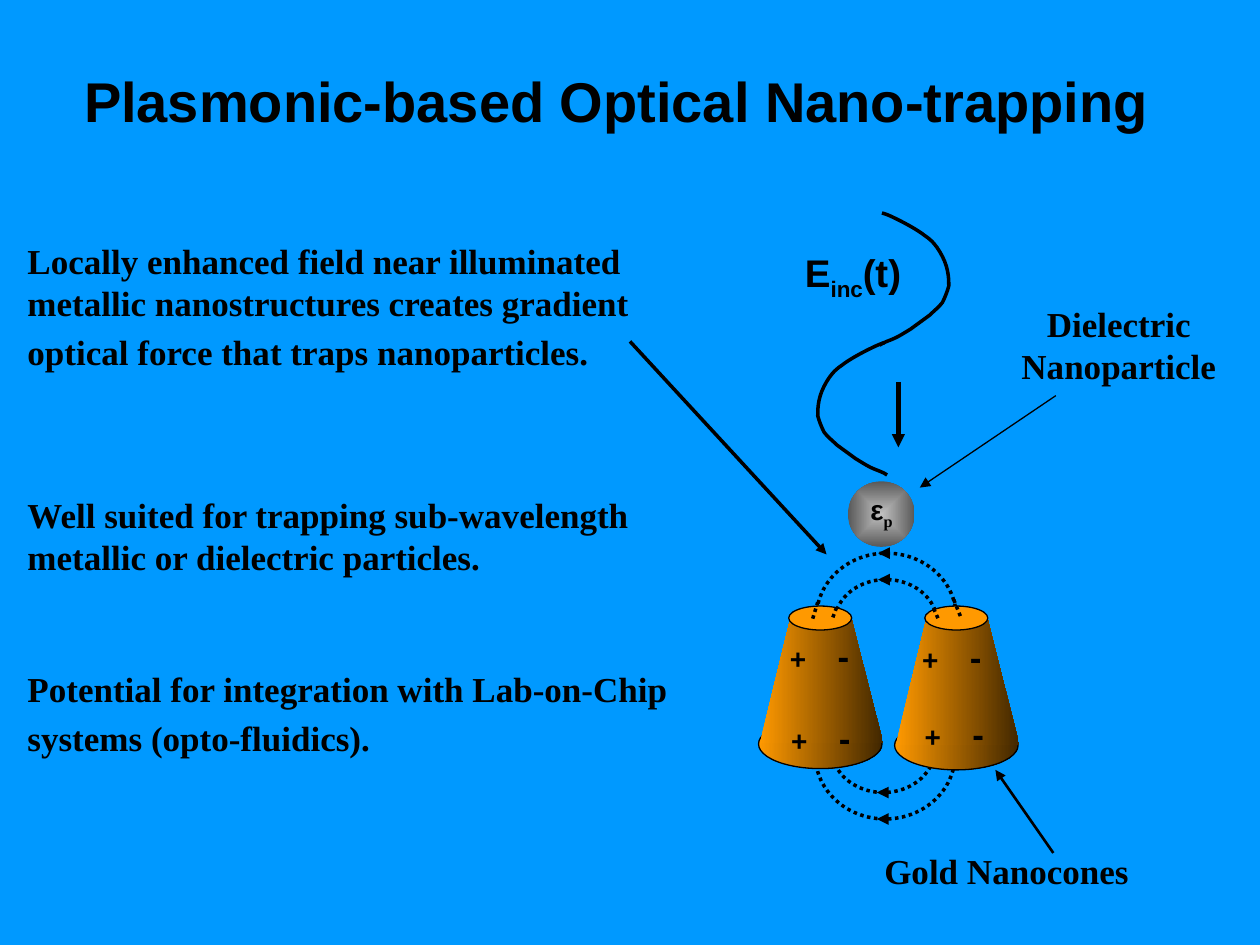
from lxml.etree import SubElement
from pptx import Presentation
from pptx.dml.color import RGBColor
from pptx.enum.dml import MSO_LINE as Dash
from pptx.enum.shapes import MSO_CONNECTOR as Connector, MSO_SHAPE as Shape
from pptx.enum.text import MSO_ANCHOR as Anchor, PP_ALIGN as Align
from pptx.oxml.ns import qn
from pptx.util import Pt

PX = 9144  # 100 px to the inch
SANS, SERIF = "Arial", "Times New Roman"
BLACK, BLUE, ORANGE, BROWN = "000000", "0099FF", "FF9900", "412700"
rgb = RGBColor.from_string

presentation = Presentation()
presentation.slide_width, presentation.slide_height = 1000 * PX, 750 * PX
slide = presentation.slides.add_slide(presentation.slide_layouts[6])
slide.background.fill.solid()
slide.background.fill.fore_color.rgb = rgb(BLUE)
shapes = slide.shapes


def add_text(box, *paragraphs, size=20, font=SERIF, align=Align.LEFT,
             anchor=Anchor.TOP, space_before=0, tab=None):
    """Each paragraph is a list of (text, size, font, bold, subscript) runs, cut short at will."""
    frame = shapes.add_textbox(*(n * PX for n in box)).text_frame
    frame.word_wrap = True
    frame.vertical_anchor = anchor
    for index, runs in enumerate(paragraphs):
        paragraph = frame.add_paragraph() if index else frame.paragraphs[0]
        paragraph.alignment = align
        if index:
            paragraph.space_before = Pt(space_before)
        if tab:
            tabs = SubElement(paragraph._p.get_or_add_pPr(), qn("a:tabLst"))
            SubElement(tabs, qn("a:tab"), pos=str(tab * PX), algn="l")
        for text, *options in runs:
            defaults = [size, font, True, False]
            run_size, run_font, bold, subscript = options + defaults[len(options):]
            for number, line in enumerate(text.split("\n")):
                if number:
                    paragraph.add_line_break()
                run = paragraph.add_run()
                run.text = line
                run.font.size, run.font.name, run.font.bold = Pt(run_size), run_font, bold
                run.font.color.rgb = rgb(BLACK)
                if subscript:
                    run._r.get_or_add_rPr().set("baseline", "-25000")


def style(shape, fill=None, width=0, dash=None):
    """A pair of colours as fill gives a gradient; width 0 means no outline."""
    shape.shadow.inherit = False
    if fill is None:
        shape.fill.background()
    elif isinstance(fill, tuple):
        shape.fill.gradient()
        shape.fill.gradient_angle = 0
        for stop, position, color in zip(shape.fill.gradient_stops, (0, 1), fill):
            stop.position = position
            stop.color.rgb = rgb(color)
    else:
        shape.fill.solid()
        shape.fill.fore_color.rgb = rgb(fill)
    if width:
        shape.line.color.rgb = rgb(BLACK)
        shape.line.width = Pt(width)
        if dash:
            shape.line.dash_style = dash
    else:
        shape.line.fill.background()


# Title and statements
add_text((27, 40, 925, 79), [("Plasmonic-based Optical Nano-trapping",)],
         size=32, font=SANS, align=Align.CENTER, anchor=Anchor.MIDDLE)
tall_space = (" ", 24, SERIF, False)
add_text((12, 185, 534, 117),
         [("Locally enhanced field near illuminated metallic nanostructures creates "
           "gradient optical force that traps nanoparticles.",), tall_space])
add_text((12, 387, 534, 222),
         [("Well suited for trapping sub-wavelength metallic or dielectric particles.",)],
         [("Potential for integration with Lab-on-Chip systems (opto-fluidics).",), tall_space],
         space_before=51)

# Incident wave: the second half is the first one mirrored and moved down
half_wave = [(700, 169), (704, 170), (708, 172), (714, 175), (720, 178), (729, 183),
             (734, 187), (740, 191), (743, 195), (746, 200), (749, 205), (751, 210),
             (752, 215), (753, 220), (753, 223), (753, 227), (752, 231), (750, 236),
             (748, 240), (745, 244), (742, 246), (738, 250), (734, 253), (727, 258),
             (723, 261), (718, 264), (715, 266), (711, 268), (707, 270), (700, 272),
             (698, 274)]
for points in (half_wave, [(1402 - x, y + 103) for x, y in half_wave]):
    builder = shapes.build_freeform(*points[0], scale=PX)
    builder.add_line_segments(points[1:], close=False)
    wave = builder.convert_to_shape()
    style(wave, width=2)
    segments = list(wave._element.iter(qn("a:lnTo")))
    for curve, second, third in zip(segments[::3], segments[1::3], segments[2::3]):
        curve.tag = qn("a:cubicBezTo")
        curve.extend([second[0], third[0]])
        curve.getparent().remove(second)
        curve.getparent().remove(third)
add_text((629, 193, 101, 52),
         [("E",), ("inc", 22, SANS, True, True), ("(t)",)], size=22, font=SANS)

# Dielectric nanoparticle
particle = shapes.add_shape(Shape.OVAL, 673 * PX, 382 * PX, 53 * PX, 52 * PX)
style(particle, ("C0C0C0", "595959"))
linear = next(particle._element.iter(qn("a:lin")))
radial = SubElement(linear.getparent(), qn("a:path"), path="rect")
SubElement(radial, qn("a:fillToRect"), l="50000", t="50000", r="50000", b="50000")
linear.getparent().remove(linear)
add_text((681, 386, 53, 41), [("ε",), ("p", 16, SERIF, True, True)], size=16, font=SANS)
add_text((791, 235, 194, 77), [("Dielectric\nNanoparticle",)], align=Align.CENTER)
add_text((692, 669, 227, 44), [("Gold Nanocones",)])

# Field loops above and below the cones, each half covered by a plain band
for inner, outer, band in (((662, 460), (648, 439), (646, 500)),
                           ((660, 559), (647, 548), (645, 542))):
    for (left, top), (width, height) in ((inner, (82, 70)), (outer, (111, 102))):
        loop = shapes.add_shape(Shape.OVAL, left * PX, top * PX, width * PX, height * PX)
        style(loop, width=2, dash=Dash.ROUND_DOT)
    style(shapes.add_shape(Shape.RECTANGLE, band[0] * PX, band[1] * PX, 115 * PX, 46 * PX), BLUE)

# Gold nanocones with their charges
for left, base_top, charges in ((602, 571, ((618, 558), (617, 493))),
                                (710, 572, ((722, 494), (724, 555)))):
    base = shapes.add_shape(Shape.OVAL, left * PX, base_top * PX, 98 * PX, 39 * PX)
    style(base, (ORANGE, BROWN), width=0.75)
    builder = shapes.build_freeform(left + 99, base_top + 19, scale=PX)
    builder.add_line_segments([(left + 1, base_top + 19), (left + 25, 492), (left + 74, 492)])
    style(builder.convert_to_shape(), (ORANGE, BROWN))
    rim = shapes.add_shape(Shape.OVAL, (left + 24) * PX, 481 * PX, 50 * PX, 19 * PX)
    style(rim, ORANGE, width=0.75)
    for x, y in charges:
        add_text((x, y, 70, 50), [("+", 16), ("\t", 24, SERIF, False), ("-",)],
                 font=SANS, tab=38)

# Pointers, field directions and the dotted loop ends on the rims
pointers = [(500, 271, 656, 440, 2), (836, 677, 790, 611, 1.5),
            (838, 314, 730, 387, 0.75), (713, 303, 713, 355, 2.5)]
directions = [(x, y, x - 6, y, 2.25)
              for x, y in ((703, 439), (703, 460), (702, 650), (702, 629))]
loop_ends = [(645, 491, 649, 478, 2), (661, 490, 664, 482, 2),
             (757, 476, 763, 491, 2), (741, 483, 745, 492, 2)]
for x1, y1, x2, y2, width in pointers + directions + loop_ends:
    line = shapes.add_connector(Connector.STRAIGHT, x1 * PX, y1 * PX, x2 * PX, y2 * PX)
    line.line.color.rgb = rgb(BLACK)
    line.line.width = Pt(width)
    properties = line._element.spPr
    if (x1, y1, x2, y2, width) in loop_ends:
        line.line.dash_style = Dash.ROUND_DOT
    else:
        SubElement(properties.find(qn("a:ln")), qn("a:tailEnd"), type="triangle")
    SubElement(properties, qn("a:effectLst"))

presentation.save("out.pptx")
